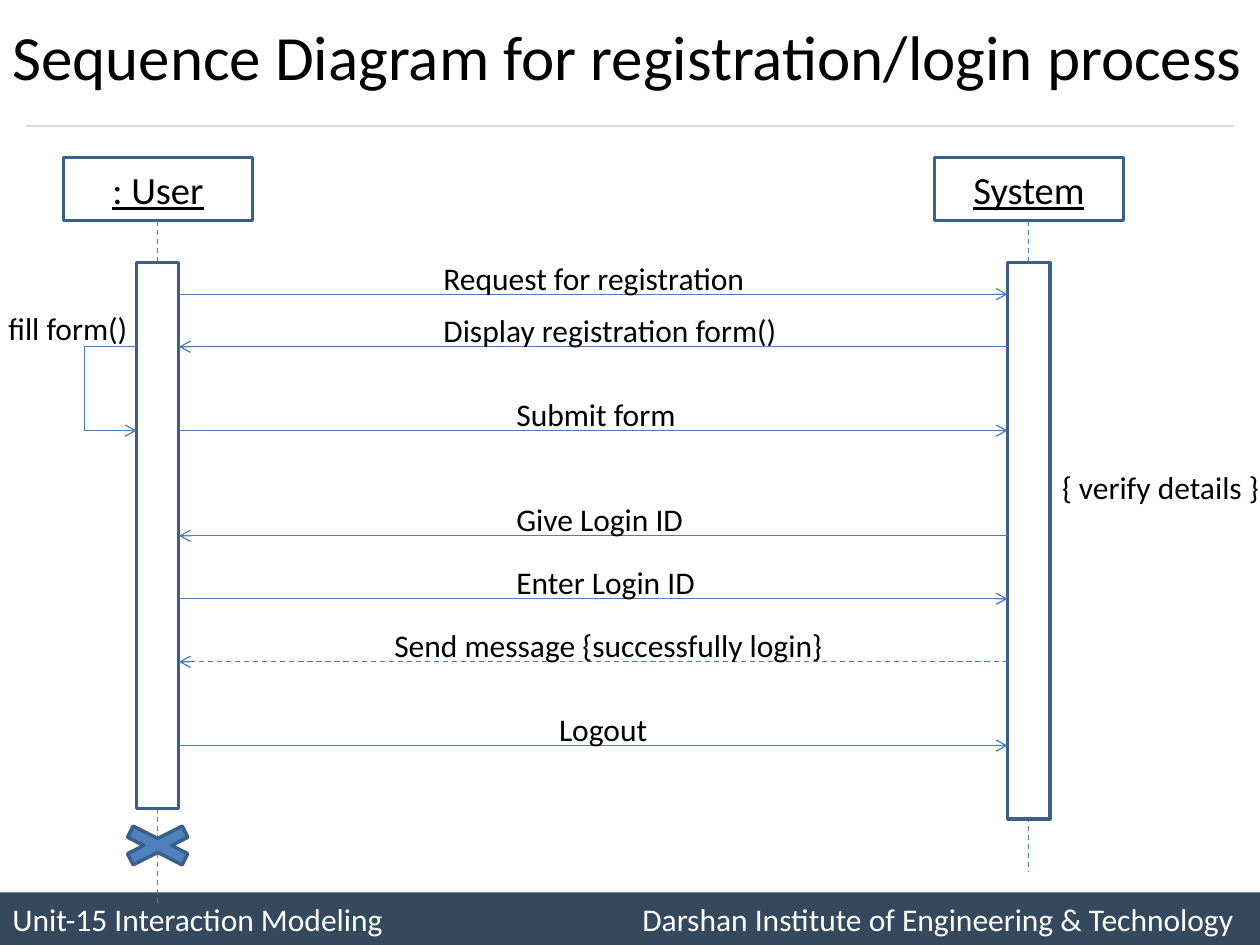
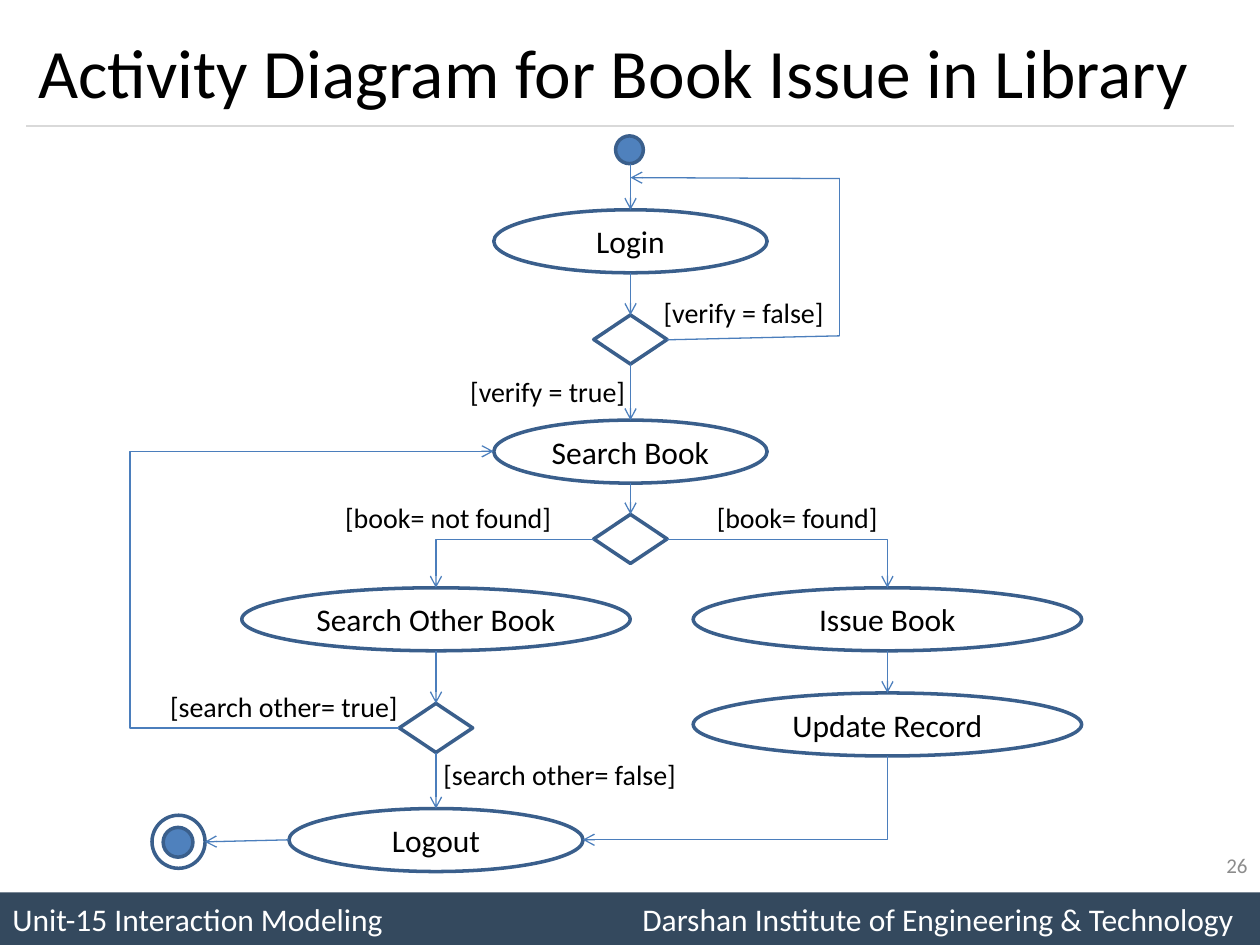
from lxml.etree import SubElement
from pptx import Presentation
from pptx.dml.color import RGBColor
from pptx.enum.dml import MSO_LINE as DASH
from pptx.enum.shapes import MSO_CONNECTOR as CONNECTOR, MSO_SHAPE as SHAPE
from pptx.enum.text import MSO_ANCHOR as ANCHOR, MSO_AUTO_SIZE as AUTO, PP_ALIGN as ALIGN
from pptx.oxml.ns import qn
from pptx.util import Cm, Pt

FONT = "Calibri"
BLACK = RGBColor(0x00, 0x00, 0x00)
WHITE = RGBColor(0xFF, 0xFF, 0xFF)
GREY = RGBColor(0x8C, 0x8C, 0x8C)
RULE = RGBColor(0xD9, 0xD9, 0xD9)
BAND = RGBColor(0x34, 0x49, 0x5E)
OUTLINE = RGBColor(0x3A, 0x5F, 0x8C)
ARROW = RGBColor(0x4B, 0x7E, 0xBC)
BLUE = RGBColor(0x4F, 0x81, 0xBD)

WIDTH, HEIGHT = 25.4, 19.05
BAND_TOP = 17.99
NODE_H = 1.27
BAR_W = 0.85
DECISION_W, DECISION_H = 1.48, 0.99


def write(tf, text, size, color=BLACK, align=ALIGN.LEFT, tab=None):
    p = tf.paragraphs[0]
    p.text = text
    p.alignment = align
    if tab:
        tabs = SubElement(p._p.get_or_add_pPr(), qn("a:tabLst"))
        SubElement(tabs, qn("a:tab"), pos=str(Cm(tab)), algn="l")
    p.font.name, p.font.size = FONT, Pt(size)
    p.font.color.rgb = color
    return p


def add_box(slide, kind, x, y, w, h, fill=WHITE, outline=OUTLINE):
    sp = slide.shapes.add_shape(kind, Cm(x), Cm(y), Cm(w), Cm(h))
    sp.shadow.inherit = False
    sp.fill.solid()
    sp.fill.fore_color.rgb = fill
    if outline:
        sp.line.color.rgb = outline
        sp.line.width = Pt(2)
    else:
        sp.line.fill.background()
    sp.text_frame.vertical_anchor = ANCHOR.MIDDLE
    return sp


def add_text(slide, text, x, y, w, h, size, color=BLACK, align=ALIGN.LEFT):
    tf = slide.shapes.add_textbox(Cm(x), Cm(y), Cm(w), Cm(h)).text_frame
    tf.word_wrap = True
    tf.vertical_anchor = ANCHOR.MIDDLE
    write(tf, text, size, color, align)


def add_label(slide, text, x, y, w, size=18):
    tf = slide.shapes.add_textbox(Cm(x), Cm(y), Cm(w), Cm(1)).text_frame
    tf.word_wrap = False
    tf.auto_size = AUTO.SHAPE_TO_FIT_TEXT
    write(tf, text, size)


def add_line(slide, start, end, arrow=None, dashed=False, color=ARROW,
             kind=CONNECTOR.STRAIGHT):
    cxn = slide.shapes.add_connector(kind, *map(Cm, start + end))
    cxn.line.color.rgb = color
    cxn.line.width = Pt(0.75)
    if dashed:
        cxn.line.dash_style = DASH.DASH
    if arrow:
        SubElement(cxn.line._get_or_add_ln(), qn(f"a:{arrow}"), type="arrow")
    SubElement(cxn._element.spPr, qn("a:effectLst"))
    return cxn


def add_elbow(slide, start, end, arrow="tailEnd", via_x=None):
    cxn = add_line(slide, start, end, arrow, kind=CONNECTOR.ELBOW)
    geom = cxn._element.spPr.find(qn("a:prstGeom"))
    if via_x is None:
        geom.set("prst", "bentConnector2")
    else:
        guides = geom.find(qn("a:avLst"))
        if guides is None:
            guides = SubElement(geom, qn("a:avLst"))
        ratio = (via_x - start[0]) / (end[0] - start[0])
        SubElement(guides, qn("a:gd"), name="adj1", fmla=f"val {round(ratio * 100000)}")


def add_path(slide, *points):
    legs = list(zip(points, points[1:]))
    for start, end in legs[:-1]:
        add_line(slide, start, end)
    add_line(slide, *legs[-1], "tailEnd")


def add_base(prs, title, x, y, w, h, size):
    slide = prs.slides.add_slide(prs.slide_layouts[6])
    band = add_box(slide, SHAPE.RECTANGLE, 0, BAND_TOP, WIDTH, HEIGHT - BAND_TOP, BAND, None)
    write(band.text_frame,
          "Unit-15 Interaction Modeling\tDarshan Institute of Engineering & Technology",
          18, WHITE, tab=12.7)
    add_line(slide, (0.53, 2.54), (24.87, 2.54), color=RULE)
    add_text(slide, title, x, y, w, h, size)
    return slide


def add_lifeline(slide, name, cx, bar_h, end):
    head = add_box(slide, SHAPE.RECTANGLE, cx - 1.9, 3.18, 3.81, NODE_H)
    write(head.text_frame, name, 22, align=ALIGN.CENTER).font.underline = True
    add_line(slide, (cx, 4.45), (cx, end), dashed=True)
    add_box(slide, SHAPE.RECTANGLE, cx - BAR_W / 2, 5.29, BAR_W, bar_h)


def add_activity(slide, text, cx, y, w):
    sp = add_box(slide, SHAPE.OVAL, cx - w / 2, y, w, NODE_H)
    write(sp.text_frame, text, 18, align=ALIGN.CENTER)


def add_decision(slide, cx, y):
    add_box(slide, SHAPE.FLOWCHART_DECISION, cx - DECISION_W / 2, y, DECISION_W, DECISION_H)


def add_dot(slide, cx, cy, size, fill=BLUE):
    add_box(slide, SHAPE.OVAL, cx - size / 2, cy - size / 2, size, size, fill)


def build_sequence(prs):
    slide = add_base(prs, "Sequence Diagram for registration/login process",
                     0, 0.13, WIDTH, 1.98, 36)
    user, system = 3.18, 20.74
    add_lifeline(slide, ": User", user, 11.01, 18.2)
    add_lifeline(slide, "System", system, 11.22, 17.57)

    left, right = user + BAR_W / 2, system - BAR_W / 2
    messages = [
        ("Request for registration", 5.93, 8.69, 6.65, True, False),
        ("Display registration form()", 6.99, 8.69, 7.32, False, False),
        ("Submit form", 8.68, 10.16, 3.76, True, False),
        ("Give Login ID", 10.8, 10.16, 3.91, False, False),
        ("Enter Login ID", 12.07, 10.16, 4.17, True, False),
        ("Send message {successfully login}", 13.34, 7.7, 9.25, False, True),
        ("Logout", 15.03, 11.02, 2.31, True, False),
    ]
    for text, y, x, w, to_system, dashed in messages:
        start, end = (left, right) if to_system else (right, left)
        add_line(slide, (start, y), (end, y), "tailEnd", dashed)
        add_label(slide, text, x, y - 0.84, w)

    bar = user - BAR_W / 2
    add_path(slide, (bar, 6.99), (1.7, 6.99), (1.7, 8.68), (bar, 8.68))
    add_label(slide, "fill form()", -0.08, 6.1, 2.95)
    add_label(slide, "{ verify details }", 21.16, 9.32, 4.52)
    add_box(slide, SHAPE.MATH_MULTIPLY, 2.12, 16.51, 2.12, 1.07, BLUE)


def build_activity(prs):
    slide = add_base(prs, "Activity Diagram for Book Issue in Library",
                     0.53, 0.3, 24.34, 2.24, 39.6)
    add_text(slide, "26", 19.47, 16.93, 5.93, 1.02, 12, GREY, ALIGN.RIGHT)

    main_x, other_x, issue_x = 12.71, 8.79, 17.89
    activities = [
        ("Login", main_x, 4.23, 5.51),
        ("Search Book", main_x, 8.47, 5.51),
        ("Search Other Book", other_x, 11.85, 7.83),
        ("Issue Book", issue_x, 11.85, 7.83),
        ("Update Record", issue_x, 13.97, 7.83),
        ("Logout", other_x, 16.3, 5.93),
    ]
    for activity in activities:
        add_activity(slide, *activity)
    for cx, y in [(main_x, 6.35), (main_x, 10.37), (other_x, 14.18)]:
        add_decision(slide, cx, y)
    add_dot(slide, 12.69, 3.02, 0.56)
    add_dot(slide, 3.6, 16.97, 1.07, WHITE)
    add_dot(slide, 3.59, 16.98, 0.6)

    flows = [
        (main_x, 3.3, 4.23), (main_x, 5.5, 6.35), (main_x, 7.34, 8.47),
        (main_x, 9.74, 10.37), (other_x, 13.12, 14.18),
        (other_x, 15.17, 16.3), (issue_x, 13.12, 13.97),
    ]
    for x, top, bottom in flows:
        add_line(slide, (x, top), (x, bottom), "tailEnd")
    add_line(slide, (5.82, 16.93), (4.13, 16.97), "tailEnd")

    half = DECISION_W / 2
    add_path(slide, (main_x + half, 6.85), (16.93, 6.77), (16.93, 3.6), (main_x, 3.58))
    add_elbow(slide, (main_x - half, 10.87), (other_x, 11.85))
    add_elbow(slide, (main_x + half, 10.87), (issue_x, 11.85))
    add_elbow(slide, (11.75, 16.93), (issue_x, 15.24), "headEnd")
    add_elbow(slide, (other_x - half, 14.68), (9.95, 9.1), via_x=2.62)

    guards = [
        ("[verify = false]", 13.13, 5.84, 3.78),
        ("[verify = true]", 9.23, 7.42, 3.68),
        ("[book= not found]", 6.71, 9.96, 4.72),
        ("[book= found]", 14.2, 9.96, 3.78),
        ("[search other= true]", 3.18, 13.77, 5.16),
        ("[search other= false]", 8.69, 15.14, 5.26),
    ]
    for guard in guards:
        add_label(slide, *guard, size=16)


def main():
    prs = Presentation()
    prs.slide_width, prs.slide_height = Cm(WIDTH), Cm(HEIGHT)
    build_sequence(prs)
    build_activity(prs)
    prs.save("out.pptx")


if __name__ == "__main__":
    main()
